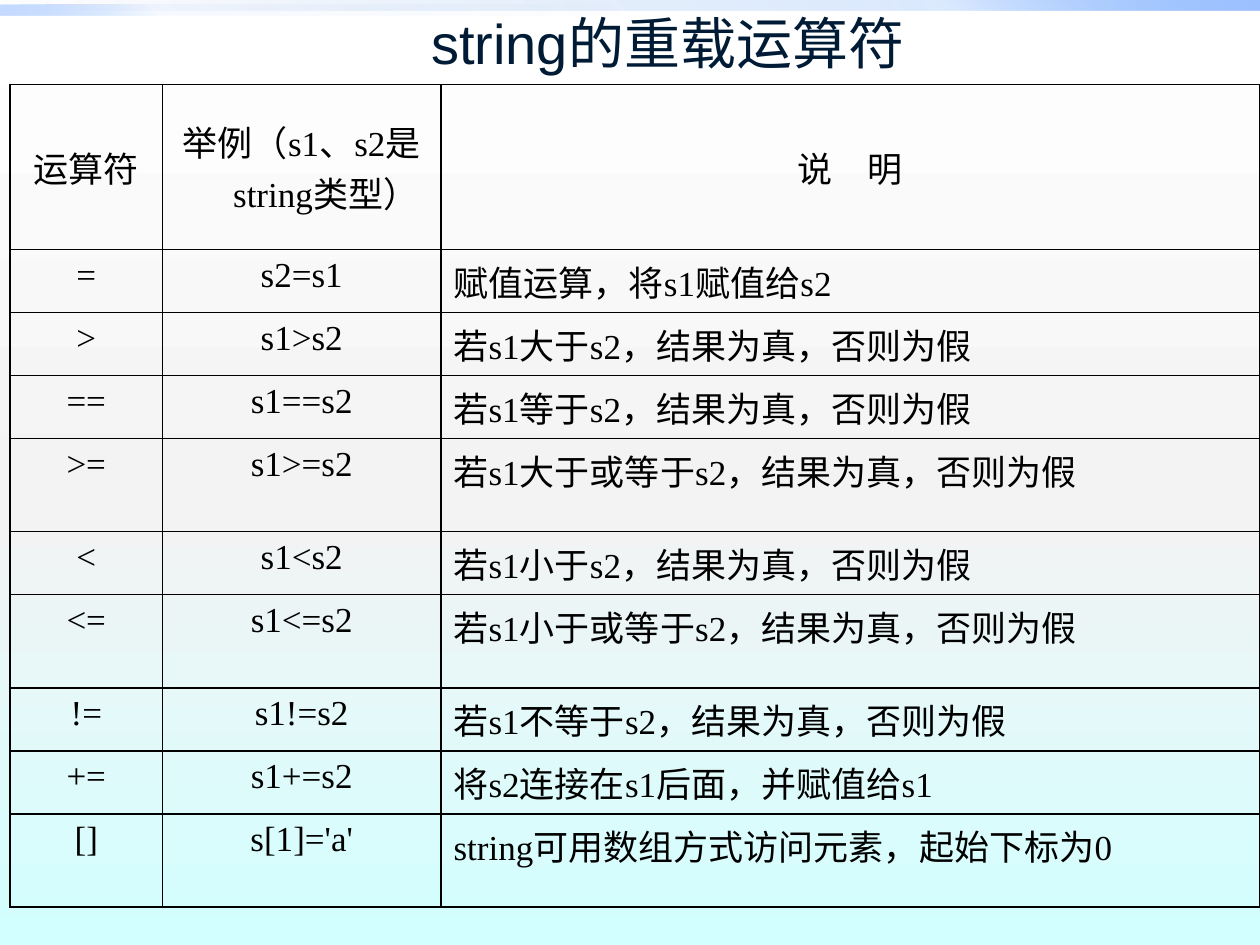
from lxml.etree import SubElement
from pptx import Presentation
from pptx.dml.color import RGBColor
from pptx.enum.shapes import MSO_SHAPE
from pptx.enum.text import MSO_ANCHOR, PP_ALIGN
from pptx.oxml.ns import qn
from pptx.util import Inches, Pt


def set_gradient(fill, owner, stops, angle):
    """Stops are (position, colour, opacity), all in percent; the angle runs clockwise."""
    fill.gradient()
    gradient = next(owner.iter(qn("a:gradFill")))
    for child in list(gradient):
        gradient.remove(child)
    stop_list = SubElement(gradient, qn("a:gsLst"))
    for position, colour, opacity in stops:
        stop = SubElement(stop_list, qn("a:gs"), pos=str(position * 1000))
        shade = SubElement(stop, qn("a:srgbClr"), val=colour)
        if opacity < 100:
            SubElement(shade, qn("a:alpha"), val=str(opacity * 1000))
    SubElement(gradient, qn("a:lin"), ang=str(angle * 60000), scaled="0")


def style_text(paragraph, font_name, size, colour):
    for span in paragraph.runs:
        span.font.name = font_name
        span.font.size = Pt(size)
        span.font.color.rgb = RGBColor.from_string(colour)


deck = Presentation()
deck.slide_width, deck.slide_height = Inches(10), Inches(7.5)
page = deck.slides.add_slide(deck.slide_layouts[6])

# Background
set_gradient(page.background.fill, page._element,
             [(0, "FFFFFF", 100), (55, "F3F3F3", 100), (100, "D2FFFF", 100)], 90)

# Ribbons along the top edge: top, width, angle, opacities
ribbons = [(0, 10, 315, (0, 20, 100)), (0.04, 5, 135, (0, 5, 60))]
for top, width, angle, opacities in ribbons:
    ribbon = page.shapes.add_shape(MSO_SHAPE.RECTANGLE, 0, Inches(top),
                                   Inches(width), Inches(0.08))
    ribbon.shadow.inherit = False
    ribbon.line.fill.background()
    stops = zip((0, 75, 100), ("0058B7", "4F95FF", "9EC2FF"), opacities)
    set_gradient(ribbon.fill, ribbon._element, stops, angle)

# Title, pushed right of centre by its left margin
title = page.shapes.add_textbox(Inches(0.75), 0, Inches(8.5), Inches(0.67))
frame = title.text_frame
frame.word_wrap = True
frame.vertical_anchor = MSO_ANCHOR.MIDDLE
frame.margin_left = Inches(0.7)
frame.text = "string的重载运算符"
frame.paragraphs[0].alignment = PP_ALIGN.CENTER
style_text(frame.paragraphs[0], "Arial", 32, "001B36")

# Operator table
rows = [
    ("运算符", "举例（s1、s2是string类型）", "说　明"),
    ("=", "s2=s1", "赋值运算，将s1赋值给s2"),
    (">", "s1>s2", "若s1大于s2，结果为真，否则为假"),
    ("==", "s1==s2", "若s1等于s2，结果为真，否则为假"),
    (">=", "s1>=s2", "若s1大于或等于s2，结果为真，否则为假"),
    ("<", "s1<s2", "若s1小于s2，结果为真，否则为假"),
    ("<=", "s1<=s2", "若s1小于或等于s2，结果为真，否则为假"),
    ("!=", "s1!=s2", "若s1不等于s2，结果为真，否则为假"),
    ("+=", "s1+=s2", "将s2连接在s1后面，并赋值给s1"),
    ("[]", "s[1]='a'", "string可用数组方式访问元素，起始下标为0"),
]
column_widths = [1.21, 2.21, 6.5]
header_height, row_height, tall_height = 1.31, 0.5, 0.74
tall_operators = (">=", "<=", "[]")
row_heights = [header_height] + [
    tall_height if operator in tall_operators else row_height
    for operator, _, _ in rows[1:]]
table = page.shapes.add_table(len(rows), len(column_widths), Inches(0.08), Inches(0.67),
                              Inches(sum(column_widths)), Inches(sum(row_heights))).table
table.first_row = False
table.horz_banding = False
for column, width in zip(table.columns, column_widths):
    column.width = Inches(width)
for row, height in zip(table.rows, row_heights):
    row.height = Inches(height)

for row_index, texts in enumerate(rows):
    for column_index, text in enumerate(texts):
        cell = table.cell(row_index, column_index)
        is_header = row_index == 0
        cell.vertical_anchor = MSO_ANCHOR.MIDDLE if is_header else MSO_ANCHOR.TOP
        cell.text_frame.text = text
        paragraph = cell.text_frame.paragraphs[0]
        centred = is_header or column_index < 2
        paragraph.alignment = PP_ALIGN.CENTER if centred else PP_ALIGN.LEFT
        # Hanging indent
        properties = paragraph._p.get_or_add_pPr()
        properties.set("marL", str(Inches(0.38)))
        properties.set("indent", str(Inches(-0.38)))
        style_text(paragraph, "Times New Roman", 20, "000000")
        # Borders come before the fill in the cell properties
        cell_properties = cell._tc.get_or_add_tcPr()
        for side in ("lnL", "lnR", "lnT", "lnB"):
            border = SubElement(cell_properties, qn("a:" + side), w=str(Pt(1)))
            paint = SubElement(border, qn("a:solidFill"))
            SubElement(paint, qn("a:srgbClr"), val="000000")
        cell.fill.background()

deck.save("out.pptx")
